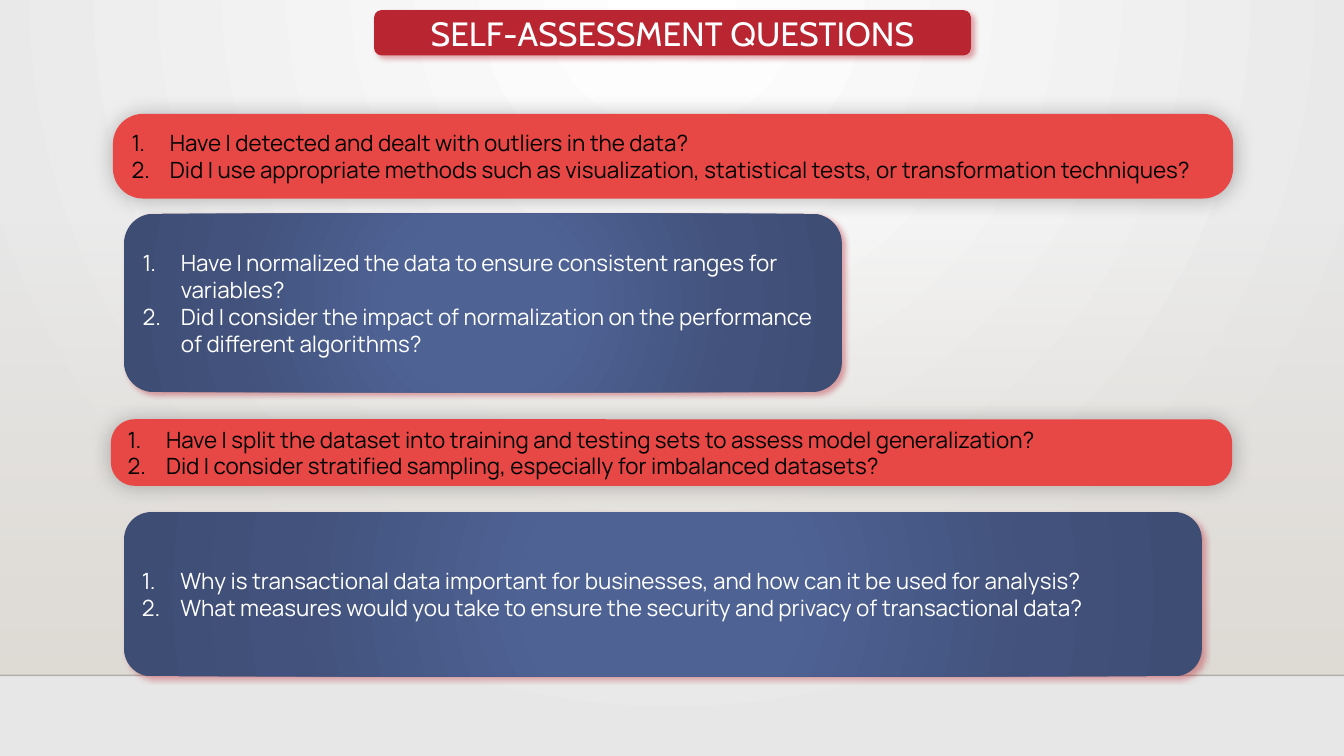
from lxml.etree import SubElement
from pptx import Presentation
from pptx.dml.color import RGBColor
from pptx.enum.shapes import MSO_CONNECTOR, MSO_SHAPE
from pptx.enum.text import MSO_ANCHOR, PP_ALIGN
from pptx.oxml import parse_xml
from pptx.oxml.ns import nsdecls, qn
from pptx.util import Inches, Pt

# Content
TITLE = "SELF-ASSESSMENT QUESTIONS"
CARDS = [  # style, (left, top, width, height), questions
    ("red", (1.12, 1.13, 11.11, 0.84), [
        "Have I detected and dealt with outliers in the data?",
        "Did I use appropriate methods such as visualization, statistical tests, "
        "or transformation techniques?"]),
    ("blue", (1.23, 2.12, 7.12, 1.77), [
        "Have I normalized the data to ensure consistent ranges for variables?",
        "Did I consider the impact of normalization on the performance of "
        "different algorithms?"]),
    ("red", (1.1, 4.16, 11.12, 0.66), [
        "Have I split the dataset into training and testing sets to assess "
        "model generalization?",
        "Did I consider stratified sampling, especially for imbalanced datasets?"]),
    ("blue", (1.23, 5.08, 10.69, 1.63), [
        "Why is transactional data important for businesses, and how can it be "
        "used for analysis?",
        "What measures would you take to ensure the security and privacy of "
        "transactional data?"]),
]

# Formats: gradient stops are (position, colour, opacity);
# shadows are (colour, opacity, blur, distance, angle)
CIRCLE = '<a:path path="circle"><a:fillToRect l="{}000" t="{}000" r="{}000" b="{}000"/></a:path>'
DOWN = '<a:lin ang="5400000" scaled="0"/>'
BACKGROUND = ([(0, "FFFFFF", 100), (100, "E7E7E7", 100)], CIRCLE.format(43, 0, 43, 100))
WALL = ([(0, "DFDBD5", 0), (100, "DFDBD5", 100)], DOWN)
NAVY = ([(0, "4E6294", 100), (23, "4E6294", 100), (69, "42527C", 100),
         (97, "3E4D74", 100)], CIRCLE.format(50, 50, 50, 50))
GLOW = ("BA2532", 40, 4, 3, 45)
STYLES = {
    "red": {"fill": "E84845", "shadow": ("000000", 25, 15, 0, 0), "adj": 0.356,
            "text": "000000"},
    "blue": {"fill": NAVY, "shadow": GLOW, "adj": 0.1667, "text": "FFFFFF"},
}
INDENT = Inches(0.38)


def rgb(value):
    return RGBColor.from_string(value)


def color_xml(value, opacity):
    return f'<a:srgbClr val="{value}"><a:alpha val="{opacity * 1000}"/></a:srgbClr>'


def set_gradient(fill, element, stops, direction):
    fill.gradient()
    old = element.find(".//" + qn("a:gradFill"))
    gs = "".join(f'<a:gs pos="{pos * 1000}">{color_xml(value, opacity)}</a:gs>'
                 for pos, value, opacity in stops)
    new = parse_xml(f'<a:gradFill {nsdecls("a")} rotWithShape="1">'
                    f'<a:gsLst>{gs}</a:gsLst>{direction}</a:gradFill>')
    old.getparent().replace(old, new)


def add_box(s, kind, box, fill, shadow=None, adj=None):
    sp = s.shapes.add_shape(kind, *map(Inches, box))
    sp.shadow.inherit = False
    sp.line.fill.background()
    if isinstance(fill, str):
        sp.fill.solid()
        sp.fill.fore_color.rgb = rgb(fill)
    else:
        set_gradient(sp.fill, sp._element.spPr, *fill)
    if adj is not None:
        sp.adjustments[0] = adj
    if shadow:
        value, opacity, blur, dist, angle = shadow
        sp._element.spPr.find(qn("a:effectLst")).append(parse_xml(
            f'<a:outerShdw {nsdecls("a")} blurRad="{Pt(blur)}" dist="{Pt(dist)}" '
            f'dir="{angle * 60000}" algn="ctr" rotWithShape="0">'
            f'{color_xml(value, opacity)}</a:outerShdw>'))
    return sp


def write(sp, lines, align, font, size, color, numbered=False):
    tf = sp.text_frame
    tf.word_wrap = True
    tf.vertical_anchor = MSO_ANCHOR.MIDDLE
    for i, line in enumerate(lines):
        p = tf.paragraphs[0] if i == 0 else tf.add_paragraph()
        p.alignment = align
        r = p.add_run()
        r.text = line
        for name, value in {"name": font, "size": Pt(size)}.items():
            setattr(r.font, name, value)
        r.font.color.rgb = rgb(color)
        if numbered:
            pPr = p._p.get_or_add_pPr()
            pPr.set("marL", str(INDENT))
            pPr.set("indent", str(-INDENT))
            SubElement(pPr, qn("a:buFont"), typeface="+mj-lt")
            SubElement(pPr, qn("a:buAutoNum"), type="arabicPeriod")


prs = Presentation()
prs.slide_width, prs.slide_height = Inches(13.33), Inches(7.5)
s = prs.slides.add_slide(prs.slide_layouts[6])

# Backdrop: wall and floor line
set_gradient(s.background.fill, s._element, *BACKGROUND)
add_box(s, MSO_SHAPE.RECTANGLE, (0, 2.21, 13.33, 4.49), WALL)
floor = s.shapes.add_connector(MSO_CONNECTOR.STRAIGHT, 0, Inches(6.7),
                               prs.slide_width, Inches(6.7))
floor.line.width = Pt(1)
floor.line.color.rgb = rgb("000001")
SubElement(floor.line._ln.find(".//" + qn("a:srgbClr")), qn("a:alpha"), val="20000")
SubElement(floor._element.spPr, qn("a:effectLst"))

# Title
sp = add_box(s, MSO_SHAPE.ROUNDED_RECTANGLE, (3.71, 0.1, 5.92, 0.45), "BA2532", GLOW)
write(sp, [TITLE], PP_ALIGN.CENTER, "Cabin", 24, "FFFFFF")

# Question cards
for style, box, questions in CARDS:
    look = STYLES[style]
    sp = add_box(s, MSO_SHAPE.ROUNDED_RECTANGLE, box, look["fill"], look["shadow"],
                 look["adj"])
    write(sp, questions, PP_ALIGN.LEFT, "Manrope", 16, look["text"], numbered=True)

prs.save("out.pptx")
